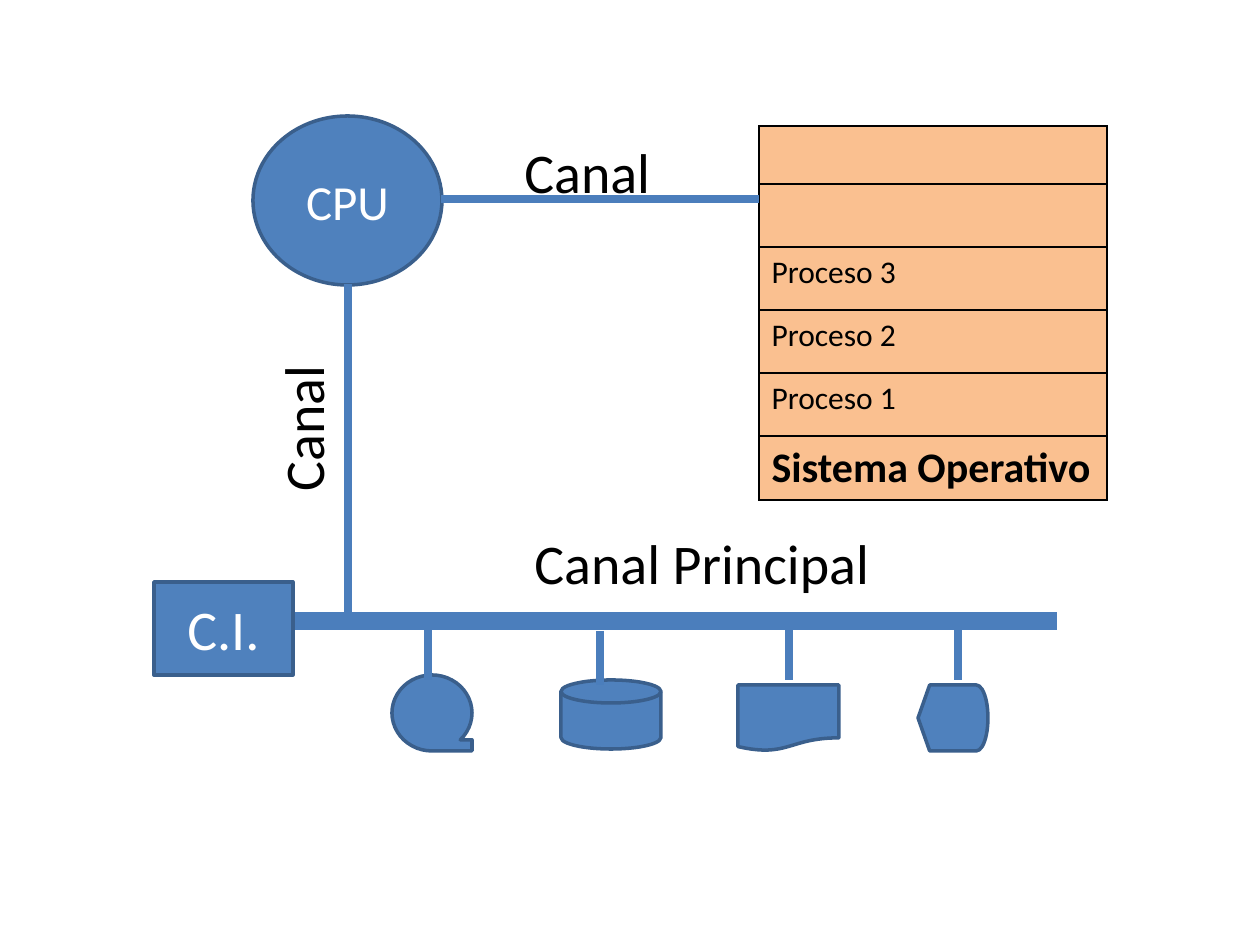
from lxml import etree
from pptx import Presentation
from pptx import util as u
from pptx.dml.color import RGBColor
from pptx.enum import shapes, text
from pptx.oxml import ns

EMU_PER_PX = 914400 / 126
BLUE, OUTLINE, CHANNEL = "4F81BD", "3A5F8C", "4B7EBC"
PEACH, BLACK, WHITE = "FAC090", "000000", "FFFFFF"
MEMORY_ROWS = ["", "", "Proceso 3", "Proceso 2", "Proceso 1", "Sistema Operativo"]
SHAPE = shapes.MSO_SHAPE


def px(*lengths):
    return [u.Emu(round(length * EMU_PER_PX)) for length in lengths]


def color(value):
    return RGBColor.from_string(value)


def write(frame, words, size=18, fill=BLACK, bold=False, align=text.PP_ALIGN.LEFT):
    paragraph = frame.paragraphs[0]
    paragraph.alignment = align
    run = paragraph.add_run()
    run.text = words
    run.font.name = "Calibri"
    run.font.size = u.Pt(size)
    run.font.bold = bold
    run.font.color.rgb = color(fill)


def add_node(slide, kind, box, words="", size=18):
    shape = slide.shapes.add_shape(kind, *px(*box))
    shape.shadow.inherit = False
    shape.fill.solid()
    shape.fill.fore_color.rgb = color(BLUE)
    shape.line.color.rgb = color(OUTLINE)
    shape.line.width = u.Pt(2)
    if words:
        shape.text_frame.vertical_anchor = text.MSO_ANCHOR.MIDDLE
        write(shape.text_frame, words, size=size, fill=WHITE, align=text.PP_ALIGN.CENTER)


def add_channel(slide, start, end, width=5):
    line = slide.shapes.add_connector(shapes.MSO_CONNECTOR.STRAIGHT, *px(*start, *end))
    line.line.color.rgb = color(CHANNEL)
    line.line.width = u.Pt(width)
    etree.SubElement(line._element.spPr, ns.qn("a:effectLst"))


def add_label(slide, box, words, rotation=0):
    label = slide.shapes.add_textbox(*px(*box))
    label.rotation = rotation
    label.text_frame.word_wrap = True
    label.text_frame.auto_size = text.MSO_AUTO_SIZE.SHAPE_TO_FIT_TEXT
    write(label.text_frame, words, size=32)


def add_borders(cell):
    properties = cell._tc.get_or_add_tcPr()
    for index, side in enumerate(("lnL", "lnR", "lnT", "lnB")):
        border = etree.Element(ns.qn(f"a:{side}"), w=str(u.Pt(1)))
        fill = etree.SubElement(border, ns.qn("a:solidFill"))
        etree.SubElement(fill, ns.qn("a:srgbClr"), val=BLACK)
        properties.insert(index, border)


def add_memory(slide):
    """Add the main memory as a one-column table, operating system at the bottom."""
    table = slide.shapes.add_table(len(MEMORY_ROWS), 1, *px(759, 126, 348, 373)).table
    for index, words in enumerate(MEMORY_ROWS):
        table.rows[index].height = px(63 if index else 58)[0]
        cell = table.cell(index, 0)
        cell.fill.solid()
        cell.fill.fore_color.rgb = color(PEACH)
        add_borders(cell)
        if words:
            system = index == len(MEMORY_ROWS) - 1
            write(cell.text_frame, words, size=24 if system else 18, bold=system)


def add_devices(slide):
    """Add each peripheral with its drop line from the main channel."""
    devices = [
        (SHAPE.FLOWCHART_MAGNETIC_DISK, (561, 680, 100, 69), 600, 631),
        (SHAPE.FLOWCHART_DOCUMENT, (738, 685, 101, 66), 789, 626),
        (SHAPE.FLOWCHART_SEQUENTIAL_ACCESS_STORAGE, (392, 675, 80, 76), 428, 626),
        (SHAPE.FLOWCHART_DISPLAY, (918, 685, 70, 66), 958, 626),
    ]
    for kind, box, x, top in devices:
        add_node(slide, kind, box)
        add_channel(slide, (x, top), (x, top + 54))


def main():
    presentation = Presentation()
    presentation.slide_width, presentation.slide_height = px(1260, 945)
    slide = presentation.slides.add_slide(presentation.slide_layouts[6])

    add_node(slide, SHAPE.OVAL, (253, 116, 189, 169), "CPU", size=28)
    add_memory(slide)
    add_channel(slide, (348, 284), (348, 626))
    add_channel(slide, (1057, 621), (292, 621), width=10)
    add_channel(slide, (441, 199), (759, 199))
    add_node(slide, SHAPE.RECTANGLE, (154, 582, 139, 93), "C.I.", size=32)
    add_devices(slide)
    add_label(slide, (512, 131, 179, 81), "Canal")
    add_label(slide, (213, 374, 179, 81), "Canal", rotation=270)
    add_label(slide, (522, 522, 367, 81), "Canal Principal")

    presentation.save("out.pptx")


if __name__ == "__main__":
    main()
